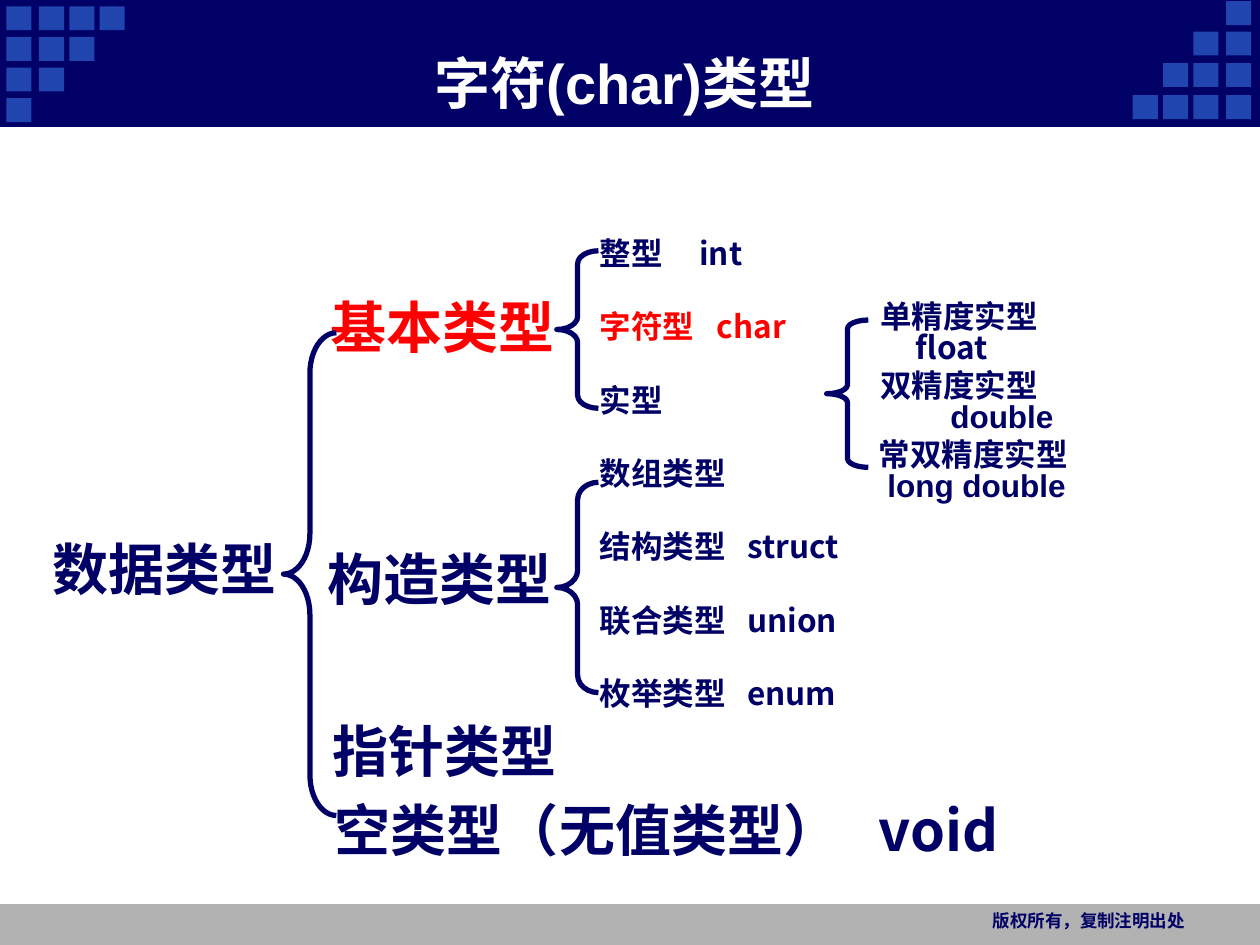
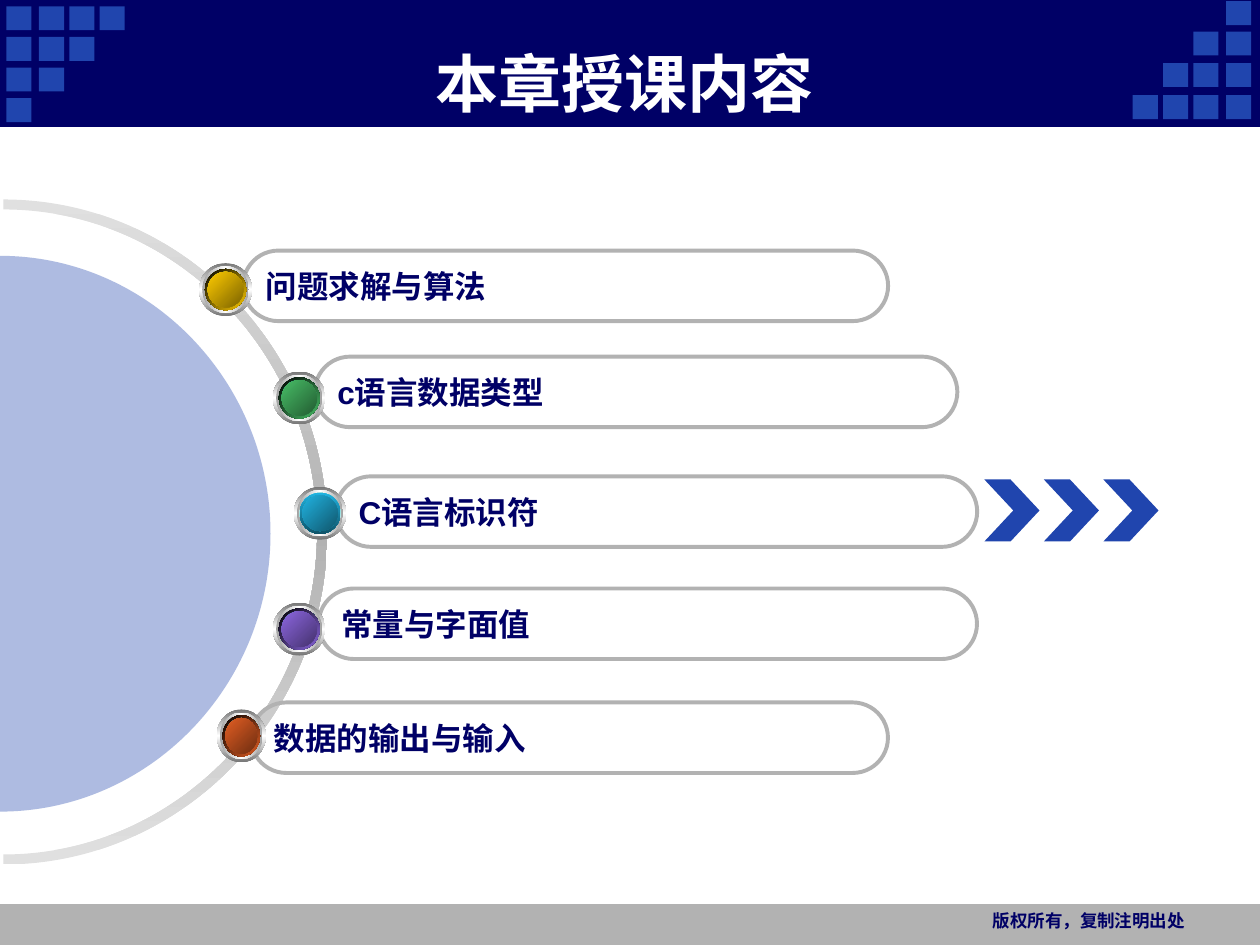
import pptx
import pptx.dml.color
import pptx.enum.shapes
import pptx.enum.text
import pptx.oxml
import pptx.oxml.ns
import pptx.util

Pt = pptx.util.Pt
qn = pptx.oxml.ns.qn
KIND = pptx.enum.shapes.MSO_SHAPE
ALIGN = pptx.enum.text.PP_ALIGN
ANCHOR = pptx.enum.text.MSO_ANCHOR

WIDE, HIGH = 720, 540
NAVY, BLUE, GRAY, RED, WHITE = "000066", "2045AE", "B2B2B2", "FF0000", "FFFFFF"
ARIAL, NOTO, MONO = "Arial", "Noto Sans CJK SC", "Courier New"
BEND = 0.55  # handle length of a quarter ellipse


def tint(code):
    return pptx.dml.color.RGBColor.from_string(code)


def node(parent, tag, **attrs):
    child = parent.makeelement(qn(tag), attrs)
    parent.append(child)
    return child


def paint(shape, fill=None, line=None, weight=0.75, alpha=None):
    """Give a shape its fill and line; drop the shadow."""
    shape.shadow.inherit = False
    if fill:
        shape.fill.solid()
        shape.fill.fore_color.rgb = tint(fill)
        if alpha:
            color = shape._element.spPr.find(qn("a:solidFill"))[0]
            node(color, "a:alpha", val=str(alpha * 1000))
    else:
        shape.fill.background()
    if line:
        shape.line.color.rgb = tint(line)
        shape.line.width = Pt(weight)
    else:
        shape.line.fill.background()


def blend(shape, colors, angle):
    """Fill with evenly spaced gradient stops, angle clockwise."""
    paint(shape)
    shape.fill.gradient()
    shape.fill.gradient_angle = -angle % 360
    stops = shape._element.spPr.find(qn("a:gradFill")).find(qn("a:gsLst"))
    for stop in list(stops):
        stops.remove(stop)
    for i, color in enumerate(colors):
        place = 100000 * i // (len(colors) - 1)
        node(node(stops, "a:gs", pos=str(place)), "a:srgbClr", val=color)


def form(slide, kind, box, adj=(), **style):
    shape = slide.shapes.add_shape(kind, *map(Pt, box))
    for i, value in enumerate(adj):
        shape.adjustments[i] = value
    paint(shape, **style)
    return shape


def write(frame, text, size=18, font=ARIAL, color=NAVY, align=ALIGN.LEFT,
          anchor=ANCHOR.TOP, tab=None, indent=0, lead=(None, None)):
    """Write lines; tab is a stop, indent moves the second line."""
    frame.word_wrap = True
    frame.vertical_anchor = anchor
    for i, words in enumerate(text.split("\n")):
        para = frame.add_paragraph() if i else frame.paragraphs[0]
        para.alignment = align
        if lead[i]:
            para.line_spacing = lead[i]
        props = para._p.get_or_add_pPr()
        if i:
            props.set("marL", str(Pt(indent)))
            props.set("indent", "0")
        if tab:
            node(node(props, "a:tabLst"), "a:tab", pos=str(Pt(tab)), algn="l")
        run = para.add_run()
        run.text = words
        run.font.size = Pt(size)
        run.font.bold = True
        run.font.color.rgb = tint(color)
        run.font.name = font
        node(run._r.get_or_add_rPr(), "a:ea", typeface=NOTO)


def label(slide, box, text, **style):
    write(slide.shapes.add_textbox(*map(Pt, box)).text_frame, text, **style)


def tiles(slide, left, top, side, drops):
    """Stairs of squares, four in the first row and one in the last."""
    for row, drop in enumerate(drops):
        for step in (0, 18.7, 36, 53.3)[:4 - row]:
            form(slide, KIND.RECTANGLE,
                 (left + side * step, top + drop, 14.4, 13.7), fill=BLUE)


def base(deck, title, size):
    """Bands, corner squares, title and footer of every slide."""
    slide = deck.slides.add_slide(deck.slide_layouts[6])
    form(slide, KIND.RECTANGLE, (0, 516.7, WIDE, 23.3), fill=GRAY)
    form(slide, KIND.RECTANGLE, (0, 0, WIDE, 72), fill=NAVY, line=NAVY)
    tiles(slide, 3.6, 3.6, 1, (0, 17.5, 35, 52.5))
    tiles(slide, 700.6, 54.4, -1, (0, -18.4, -36.4, -53.7))
    label(slide, (66, 24.6, 582, 45), title, size=size, color=WHITE,
          align=ALIGN.CENTER, anchor=ANCHOR.MIDDLE)
    label(slide, (547, 516.7, 137, 23), "版权所有，复制注明出处",
          size=10, font=MONO, align=ALIGN.RIGHT)
    return slide


def brace(slide, box, curve):
    form(slide, KIND.LEFT_BRACE, box, (curve, 0.5), line=NAVY, weight=3)


def roots(slide, left, top):
    """Main type names with the large brace."""
    for x, y, text, color in ((0, 137.5, "数据类型", NAVY),
                              (159, -0.6, "基本类型", RED),
                              (156.8, 143.4, "构造类型", NAVY),
                              (159.8, 241.6, "指针类型", NAVY)):
        label(slide, (left + x, top + y, 143, 45), text, size=32, color=color)
    label(slide, (left + 161.3, top + 286.8, 400, 45),
          "空类型（无值类型）\tvoid", size=32, font=NOTO, tab=310.5)
    brace(slide, (left + 139, top + 26, 30.2, 275.8), 0.767)


def kinds(slide, left, top):
    """Column of sub-types, one row each, with two braces."""
    rows = (("整型\tint", 57, NAVY), ("字符型\tchar", 67, RED),
            ("实型", None, NAVY), ("数组类型", None, NAVY),
            ("结构类型\tstruct", 84.5, NAVY), ("联合类型\tunion", 84.5, NAVY),
            ("枚举类型\tenum", 84.5, NAVY))
    for i, (text, tab, color) in enumerate(rows):
        label(slide, (left, top + i * 41.95, 190, 29), text,
              font=NOTO if tab else ARIAL, color=color, tab=tab)
    brace(slide, (left - 17.3, top + 13.3, 23.8, 90), 0.312)
    brace(slide, (left - 17.3, top + 145.6, 23.8, 120.2), 0.417)


def reals(slide, left, top):
    """Floating types with their brace."""
    rows = (("单精度实型\nfloat", 20, NOTO), ("双精度实型\ndouble", 40, ARIAL),
            ("常双精度实型\nlong double", 5, ARIAL))
    for i, (text, indent, font) in enumerate(rows):
        label(slide, (left - i // 2, top + i * 39.6, 136, 45), text,
              font=font, indent=indent, lead=(0.9, 0.8))
    brace(slide, (left - 23.6, top + 14.4, 23.8, 84.2), 0.212)


def half(x, y, wide, high):
    """Right half ellipse from top to bottom: ends and handles."""
    rim = ((0, -1), (BEND, -1), (1, -BEND), (1, 0),
           (1, BEND), (BEND, 1), (0, 1))
    return [(Pt(x + wide * u), Pt(y + high * v)) for u, v in rim]


def outline(slide, *arcs):
    """Close a chain of arcs, turning line triples into curves."""
    dots = [dot for arc in arcs for dot in arc]
    pen = slide.shapes.build_freeform(*dots[0], scale=1.0)
    pen.add_line_segments(dots[1:], close=True)
    shape = pen.convert_to_shape()
    lines = list(shape._element.spPr.iter(qn("a:lnTo")))
    for start in range(0, len(lines), 7):
        for first in (start, start + 3):
            trio = lines[first:first + 3]
            curve = trio[0].makeelement(qn("a:cubicBezTo"), {})
            trio[0].addprevious(curve)
            for line in trio:
                curve.append(line[0])
                line.getparent().remove(line)
    return shape


def wheel(slide, x, y):
    """Gray ring around a pale half disc."""
    ring = outline(slide, half(x + 2, y, 185, 190),
                   half(x + 2, y, 179.3, 184.3)[::-1])
    blend(ring, ("E0E0E0", GRAY, "E0E0E0"), 90)
    paint(outline(slide, half(x, y + 1, 154.6, 158.8)), fill=BLUE, alpha=36)


def ball(slide, left, top, wide, hue, dark, rim, turn):
    """Glossy button of stacked ellipses."""
    teal = ("2F9797", "3DC5C5", "2F9797")
    layers = ((0, ("767676", WHITE, "767676"), 90),
              (1.8, ("A2A2A2", WHITE, "A2A2A2"), 0),
              (3.3, (WHITE, "3DC5C5", WHITE), 45),
              (3.3, rim, turn), (4.9, teal, 315), (4.9, (hue, dark), 45))
    for inset, colors, angle in layers:
        oval = form(slide, KIND.OVAL, (left + inset, top + inset,
                                       wide - 2 * inset, 30.2 - 2 * inset))
        blend(oval, colors, angle)


def agenda(slide, top):
    """Pills with their buttons; each row gives its offset from the top."""
    rows = (  # text, pill left, width, offset, ball left, offset, width, hues
        ("问题求解与算法", 138.9, 368.6, 0, 113.8, 7.2, 30.2, "FFCC00", "7C6300"),
        ("c语言数据类型", 179.9, 367.2, 60.6, 156, 69.1, 30, "48BE67", "235C32"),
        ("C语言标识符", 191.9, 366.5, 129, 167.9, 135, 30, "21B3E1", "10576D"),
        ("常量与字面值", 182.1, 376.2, 193.1, 156, 201.2, 30, "8D67E1", "45326D"),
        ("数据的输出与输入", 143.4, 364, 258.2, 123.9, 262.2, 28, "E35E23", "6E2E11"))
    for text, left, wide, drop, *_ in reversed(rows):
        pill = form(slide, KIND.ROUNDED_RECTANGLE, (left, top + drop, wide, 40.3),
                    (0.5,), line=GRAY, weight=2.25)
        write(pill.text_frame, text, anchor=ANCHOR.MIDDLE)
    for i, (*_, left, drop, wide, hue, dark) in enumerate(rows):
        rim, turn = ((hue, "0F5368"), 90) if i == 2 else (("000000", hue), 45)
        ball(slide, left, top + drop, wide, hue, dark, rim, turn)


def arrows(slide, left, top):
    for i in range(3):
        form(slide, KIND.CHEVRON, (left + i * 34, top, 31.5, 35.4),
             (0.525,), fill=BLUE)


def main():
    deck = pptx.Presentation()
    deck.slide_width, deck.slide_height = Pt(WIDE), Pt(HIGH)

    # Tree of data types
    tree = base(deck, "字符(char)类型", 32)
    roots(tree, 23, 164.2)
    kinds(tree, 335.5, 130)
    reals(tree, 496, 168.5)

    # Chapter contents
    plan = base(deck, "本章授课内容", 36)
    wheel(plan, 0, 304)
    agenda(plan, 143.2)
    arrows(plan, 562.5, 274)

    deck.save("out.pptx")


if __name__ == "__main__":
    main()
